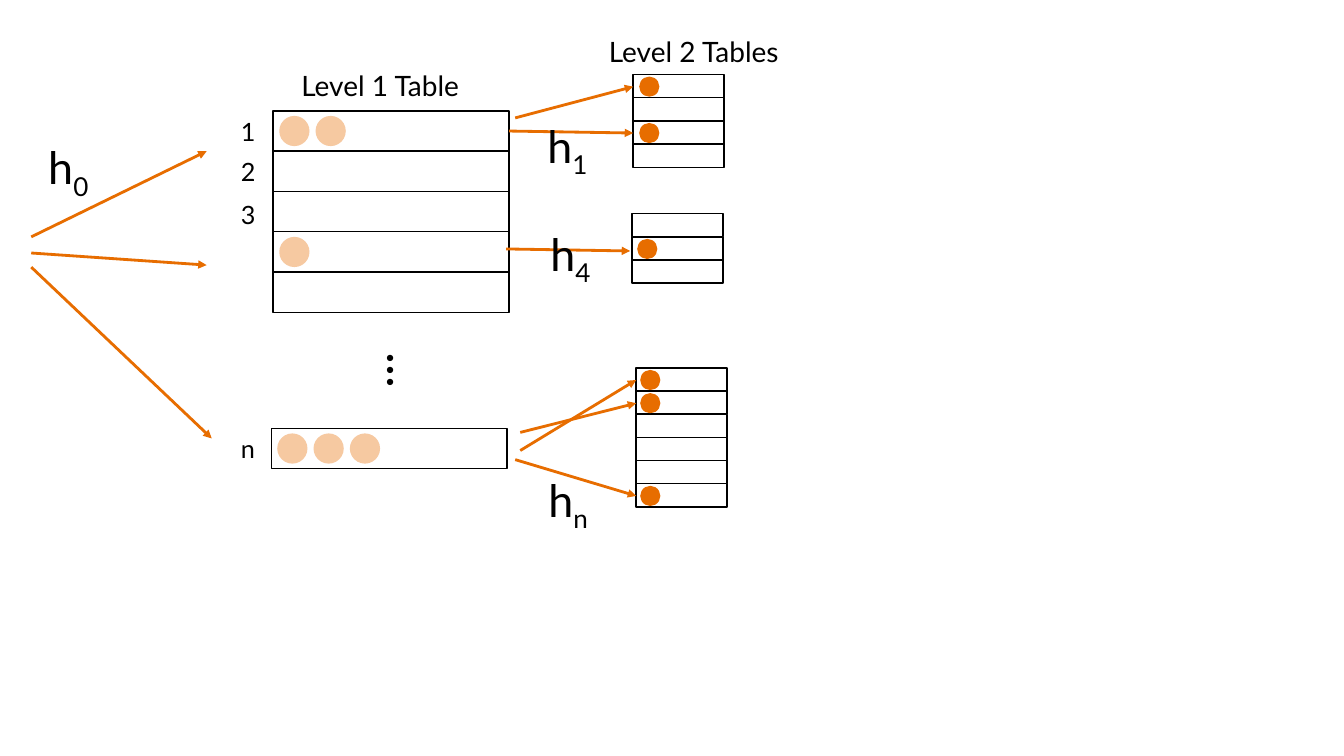
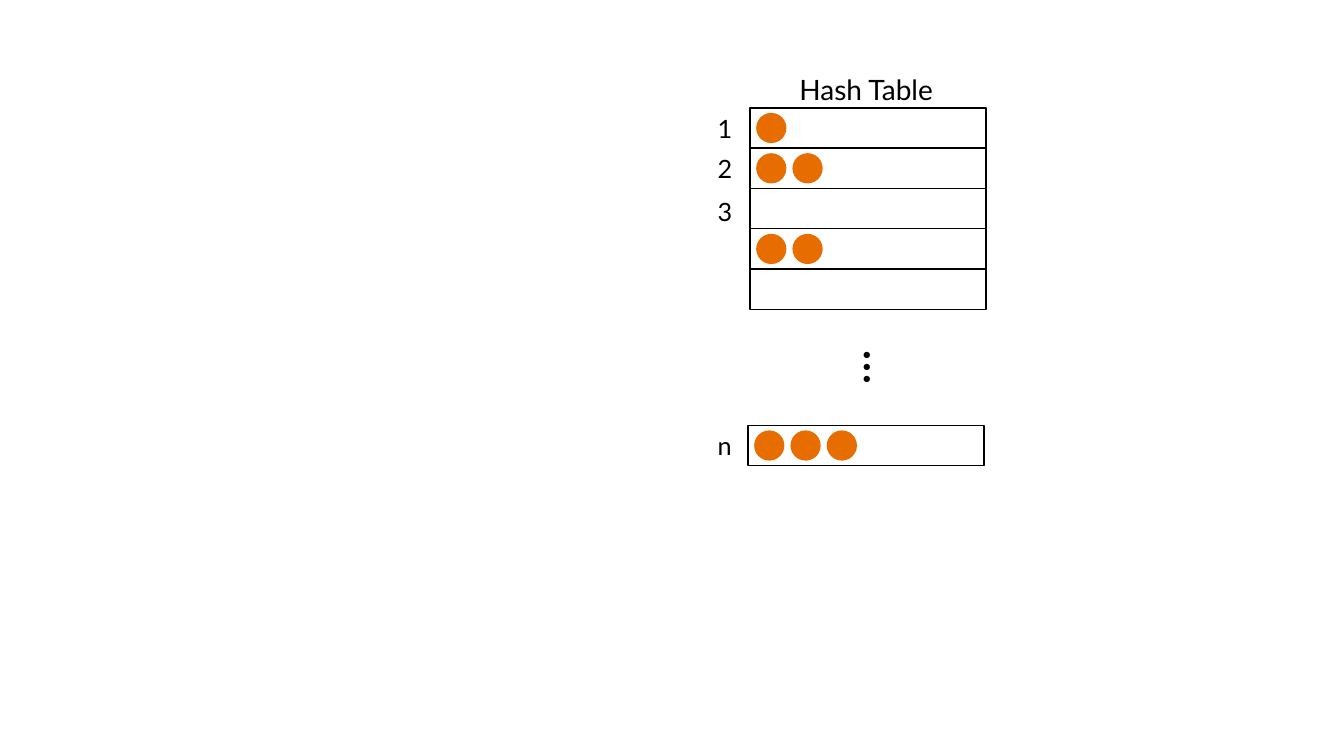
from lxml.etree import SubElement
from pptx import Presentation
from pptx.dml.color import RGBColor
from pptx.enum.shapes import MSO_CONNECTOR, MSO_SHAPE
from pptx.enum.text import MSO_AUTO_SIZE
from pptx.oxml.ns import qn
from pptx.util import Inches, Pt

BLACK = RGBColor(0x00, 0x00, 0x00)
ORANGE = RGBColor(0xE7, 0x6D, 0x00)
FONT = "Lato"

# Slots and balls of the large and the small tables
SLOT_W, SLOT_H, BALL, STEP = 2.34, 0.4, 0.3, 0.36
CELL_W, CELL_H, DOT = 0.9, 0.23, 0.2


def style(item, **values):
    for name, value in values.items():
        setattr(item, name, value)


def add_text(slide, box, text, size, sub="", turn=0):
    shape = slide.shapes.add_textbox(*map(Inches, box))
    shape.rotation = turn
    frame = shape.text_frame
    style(frame, word_wrap=True, auto_size=MSO_AUTO_SIZE.SHAPE_TO_FIT_TEXT)
    for part in filter(None, (text, sub)):
        run = frame.paragraphs[0].add_run()
        run.text = part
        style(run.font, name=FONT, size=Pt(size))
        run.font.color.rgb = BLACK
        if part is sub:
            run._r.get_or_add_rPr().set("baseline", "-25000")


def add_slot(slide, left, top, width, height):
    slot = slide.shapes.add_shape(
        MSO_SHAPE.RECTANGLE, *map(Inches, (left, top, width, height)))
    slot.shadow.inherit = False
    slot.fill.background()
    slot.line.color.rgb = BLACK
    slot.line.width = Pt(1)


def add_ball(slide, left, top, size, alpha=100):
    ball = slide.shapes.add_shape(
        MSO_SHAPE.OVAL, *map(Inches, (left, top, size, size)))
    ball.shadow.inherit = False
    ball.fill.solid()
    ball.fill.fore_color.rgb = ORANGE
    ball.line.fill.background()
    if alpha < 100:
        color = ball._element.spPr.find(".//" + qn("a:srgbClr"))
        SubElement(color, qn("a:alpha"), val=str(alpha * 1000))


def add_arrow(slide, *ends):
    arrow = slide.shapes.add_connector(
        MSO_CONNECTOR.STRAIGHT, *map(Inches, ends))
    arrow.line.color.rgb = ORANGE
    arrow.line.width = Pt(2)
    SubElement(arrow.line._get_or_add_ln(), qn("a:tailEnd"), type="triangle")
    SubElement(arrow._element.spPr, qn("a:effectLst"))


def add_main(slide, left, top, counts, alpha=100):
    """Large table: five slots, a gap, then slot n; counts are balls per slot."""
    rows = [(left, top + i * SLOT_H) for i in range(5)]
    rows.append((left - 0.02, top + 3.15))
    for (x, y), count in zip(rows, counts):
        add_slot(slide, x, y, SLOT_W, SLOT_H)
        for i in range(count):
            add_ball(slide, x + 0.06 + i * STEP, y + 0.05, BALL, alpha)
    add_text(slide, (left + 0.82, top + 2.15, 0.71, 1.01), "...", 36, turn=90)
    # Row numbers
    for mark, drop in (("1", 0), ("2", 0.4), ("3", 0.83), ("n", 3.15)):
        add_text(slide, (left - 0.42, top + drop, 0.41, 0.71), mark, 18)


def add_small(slide, left, top, count, full, pad):
    """Small table: full lists the rows that hold a ball."""
    for i in range(count):
        y = top + i * CELL_H
        add_slot(slide, left, y, CELL_W, CELL_H)
        if i in full:
            add_ball(slide, left + pad, y + 0.02, DOT)


def two_level(slide):
    # Level 1
    add_main(slide, 2.71, 1.1, (2, 0, 0, 1, 0, 3), alpha=37)
    add_text(slide, (2.89, 0.63, 2.55, 0.44), "Level 1 Table", 20)
    # Level 2
    add_small(slide, 6.28, 0.74, 4, (0, 2), 0.06)
    add_small(slide, 6.27, 2.12, 3, (1,), 0.05)
    add_small(slide, 6.31, 3.65, 6, (0, 1, 5), 0.04)
    add_text(slide, (5.94, 0.29, 2.55, 0.44), "Level 2 Tables", 20)
    # Arrows into level 1, then into level 2
    for ends in (
        (0.31, 2.35, 2.05, 1.5), (0.31, 2.51, 2.05, 2.63),
        (0.31, 2.65, 2.1, 4.35),
        (5.11, 1.17, 6.28, 0.86), (5.05, 1.3, 6.28, 1.32),
        (5.02, 2.47, 6.25, 2.49),
        (5.16, 4.29, 6.31, 4), (5.16, 4.47, 6.31, 3.77),
        (5.11, 4.56, 6.31, 4.92),
    ):
        add_arrow(slide, *ends)
    # Hash functions
    for sub, x, y in (("0", 0.38, 1.34), ("1", 5.33, 1.13),
                      ("4", 5.36, 2.2), ("n", 5.34, 4.64)):
        add_text(slide, (x, y, 0.92, 0.64), "h", 32, sub)


def one_level(slide):
    add_main(slide, 7.44, 1.07, (1, 2, 0, 2, 0, 3))
    add_text(slide, (7.83, 0.67, 1.74, 0.44), "Hash Table", 20)


def main():
    deck = Presentation()
    style(deck, slide_width=Inches(13.33), slide_height=Inches(7.5))
    for build in (two_level, one_level):
        build(deck.slides.add_slide(deck.slide_layouts[6]))
    deck.save("out.pptx")


if __name__ == "__main__":
    main()
